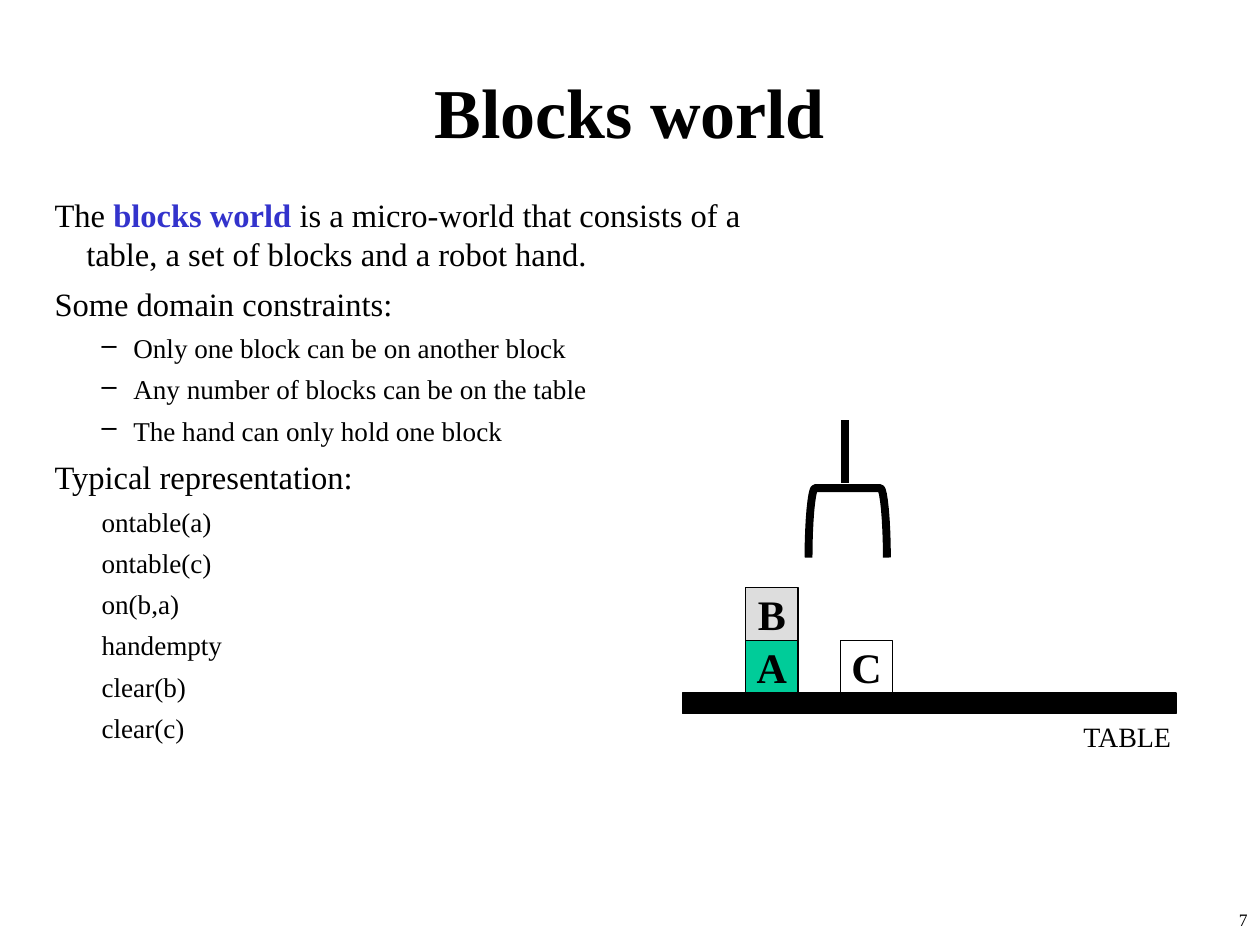
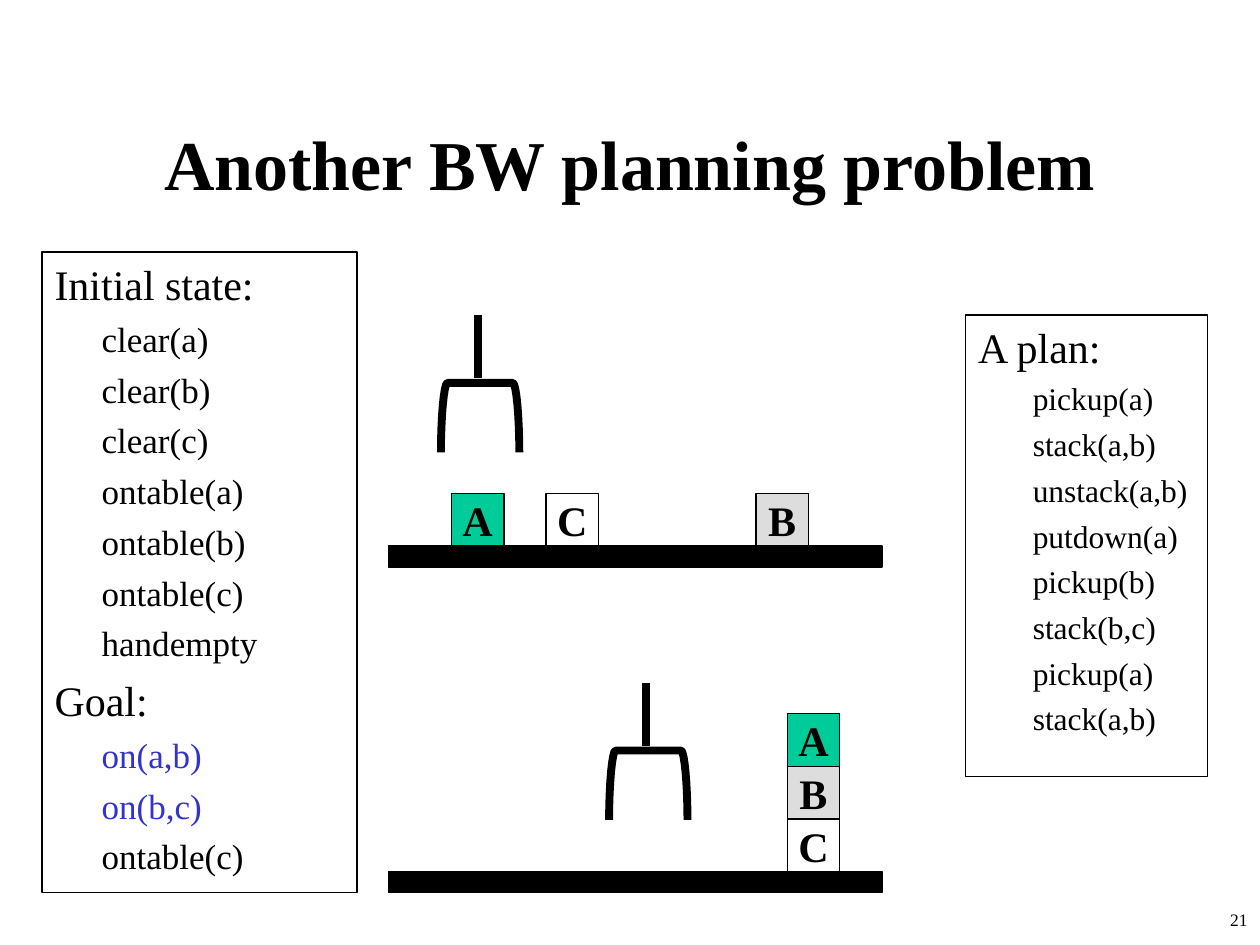
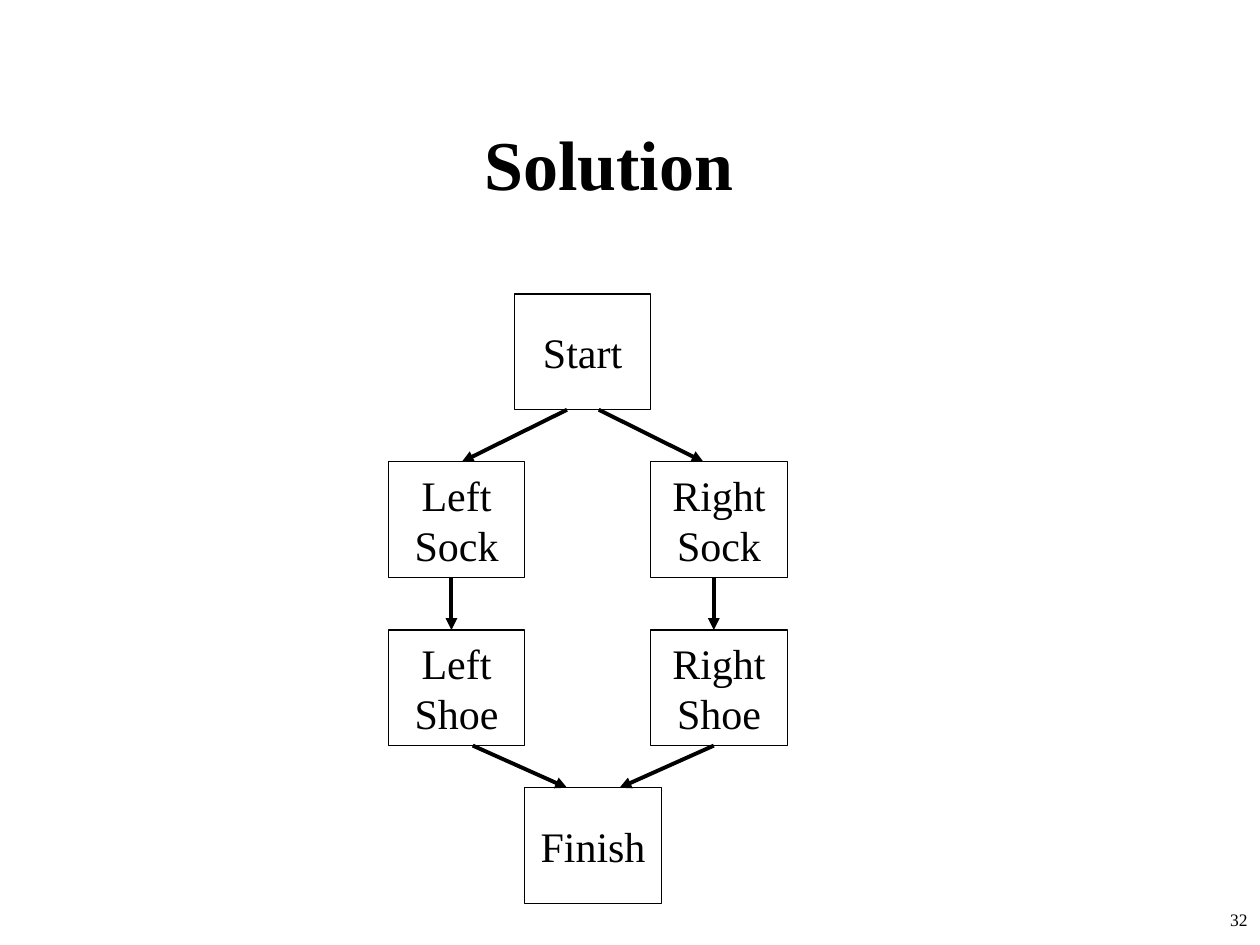
from lxml import etree
from pptx import Presentation
from pptx.dml.color import RGBColor
from pptx.enum.shapes import MSO_CONNECTOR, MSO_SHAPE
from pptx.enum.text import MSO_ANCHOR, PP_ALIGN
from pptx.oxml.ns import qn
from pptx.util import Cm, Pt

BLACK = RGBColor(0x00, 0x00, 0x00)
WHITE = RGBColor(0xFF, 0xFF, 0xFF)
BLUE = RGBColor(0x33, 0x33, 0xCC)
GREEN = RGBColor(0x00, 0xCC, 0x99)
GREY = RGBColor(0xDD, 0xDD, 0xDD)
FONT = "Times New Roman"

RECT = MSO_SHAPE.RECTANGLE
STRAIGHT = MSO_CONNECTOR.STRAIGHT
LEFT, CENTER, RIGHT = PP_ALIGN.LEFT, PP_ALIGN.CENTER, PP_ALIGN.RIGHT
TOP, MIDDLE = MSO_ANCHOR.TOP, MSO_ANCHOR.MIDDLE

BLOCK = 1.06
BLOCK_FILLS = {"A": GREEN, "B": GREY, "C": None}
TABLE_W, TABLE_H = 9.95, 0.42
NODE_W, NODE_H = 2.75, 2.33


def add_run(p, text, size, color=BLACK, bold=False):
    r = p.add_run()
    r.text = text
    r.font.name = FONT
    r.font.size = Pt(size)
    r.font.color.rgb = color
    r.font.bold = bold


def add_text(shapes, x, y, w, h, text, size, align=LEFT, bold=False,
             anchor=TOP, wrap=True):
    tf = shapes.add_textbox(Cm(x), Cm(y), Cm(w), Cm(h)).text_frame
    tf.word_wrap = wrap
    tf.vertical_anchor = anchor
    p = tf.paragraphs[0]
    p.alignment = align
    add_run(p, text, size, bold=bold)


def add_box(shapes, x, y, w, h, fill=None):
    sp = shapes.add_shape(RECT, Cm(x), Cm(y), Cm(w), Cm(h))
    sp.shadow.inherit = False
    if fill is None:
        sp.fill.background()
    else:
        sp.fill.solid()
        sp.fill.fore_color.rgb = fill
    sp.line.color.rgb = BLACK
    sp.line.width = Pt(0.75)
    return sp


def add_label(sp, text, bold=False):
    """Centre 24 pt text in a box, one line for each line of the text."""
    tf = sp.text_frame
    tf.word_wrap = False
    tf.vertical_anchor = MIDDLE
    p = tf.paragraphs[0]
    p.alignment = CENTER
    for i, line in enumerate(text.split("\n")):
        if i:
            p.add_line_break()
        add_run(p, line, 24, bold=bold)


def add_line(shapes, x1, y1, x2, y2, width, arrow=False):
    cxn = shapes.add_connector(STRAIGHT, Cm(x1), Cm(y1), Cm(x2), Cm(y2))
    cxn.line.color.rgb = BLACK
    cxn.line.width = Pt(width)
    if arrow:
        ln = cxn.line._get_or_add_ln()
        etree.SubElement(ln, qn("a:tailEnd"), type="triangle")
    etree.SubElement(cxn._element.spPr, qn("a:effectLst"))


def add_list(tf, items, head_size, item_size, item_gap=5,
             margin=1.59, hang=0.64):
    """Items are (kind, text or runs); kinds are head, item, dash and goal."""
    tf.word_wrap = True
    tf.vertical_anchor = TOP
    for i, (kind, text) in enumerate(items):
        p = tf.add_paragraph() if i else tf.paragraphs[0]
        p.alignment = LEFT
        head = kind == "head"
        p.space_before = Pt(6 if head else item_gap)
        pPr = p._p.get_or_add_pPr()
        pPr.set("marL", str(Cm(0.64 if head else margin)))
        pPr.set("indent", str(-Cm(0.64 if head else hang)))
        if kind == "dash":
            etree.SubElement(pPr, qn("a:buChar"), char="–")
        runs = [(text, kind == "goal", False)] if isinstance(text, str) else text
        for words, blue, bold in runs:
            add_run(p, words, head_size if head else item_size,
                    BLUE if blue else BLACK, bold)


def add_hand(shapes, x, y):
    """Robot hand hanging from the top of its arm at x, y."""
    add_line(shapes, x, y, x, y + 1.27, 4.5)
    width, height, shoulder = 1.58, 1.4, 0.13
    left, top = x - 0.74, y + 1.37
    finger = []
    for i in range(9):
        t = i / 8
        u = 1 - t
        finger.append((3 * u * t * t * 0.06 + t ** 3 * shoulder,
                       height * (u ** 3 + 1.5 * u * u * t)))
    outline = finger + [(width - dx, dy) for dx, dy in reversed(finger)]
    points = [(Cm(left + dx), Cm(top + dy)) for dx, dy in outline]
    builder = shapes.build_freeform(*points[0])
    builder.add_line_segments(points[1:], close=False)
    sp = builder.convert_to_shape()
    sp.shadow.inherit = False
    sp.fill.background()
    sp.line.color.rgb = BLACK
    sp.line.width = Pt(4.5)


def add_scene(s, x, y, blocks, hand, table_label=False):
    """Table top at x, y; blocks are (name, offset, level), hand an offset."""
    shapes = s.shapes.add_group_shape().shapes
    add_box(shapes, x, y, TABLE_W, TABLE_H, BLACK)
    for name, dx, level in blocks:
        sp = add_box(shapes, x + dx, y - (level + 1) * BLOCK, BLOCK, BLOCK,
                     BLOCK_FILLS[name])
        add_label(sp, name, bold=True)
    add_hand(shapes, x + hand[0], y + hand[1])
    if table_label:
        add_text(shapes, x + 7.83, y + TABLE_H, 2.31, 0.94, "TABLE", 16,
                 wrap=False)


def add_slide(prs, title, number, title_y=1.69, title_w=21.59):
    s = prs.slides.add_slide(prs.slide_layouts[6])
    add_text(s.shapes, 20.11, 18.2, 5.29, 0.85, number, 10, RIGHT)
    add_text(s.shapes, 1.9, title_y, title_w, 3.18, title, 40, CENTER,
             bold=True, anchor=MIDDLE)
    return s


def blocks_world(prs):
    s = add_slide(prs, "Blocks world", "7", title_y=0.64)
    items = [
        ("head", [("The ", False, False), ("blocks world ", True, True),
                  ("is a micro-world that consists of a table, a set of "
                   "blocks and a robot hand.", False, False)]),
        ("head", "Some domain constraints:"),
        ("dash", "Only one block can be on another block"),
        ("dash", "Any number of blocks can be on the table"),
        ("dash", "The hand can only hold one block"),
        ("head", "Typical representation:"),
    ]
    facts = ["ontable(a)", "ontable(c)", "on(b,a)", "handempty", "clear(b)",
             "clear(c)"]
    items += [("item", fact) for fact in facts]
    body = s.shapes.add_textbox(Cm(0.85), Cm(3.81), Cm(14.6), Cm(11.43))
    add_list(body.text_frame, items, 18.6, 15.5)
    add_scene(s, 13.76, 13.97,
              [("A", 1.27, 0), ("B", 1.27, 1), ("C", 3.18, 0)],
              hand=(3.28, -5.5), table_label=True)


def planning_problem(prs):
    s = add_slide(prs, "Another BW planning problem", "21")
    initial = ["clear(a)", "clear(b)", "clear(c)", "ontable(a)", "ontable(b)",
               "ontable(c)", "handempty"]
    states = [("head", "Initial state:")]
    states += [("item", fact) for fact in initial]
    states += [("head", "Goal:"), ("goal", "on(a,b)"), ("goal", "on(b,c)"),
               ("item", "ontable(c)")]
    box = add_box(s.shapes, 0.85, 5.08, 6.35, 12.91)
    add_list(box.text_frame, states, 24, 20)

    add_scene(s, 7.83, 11.01,
              [("A", 1.27, 0), ("B", 7.41, 0), ("C", 3.18, 0)],
              hand=(1.8, -4.66))
    add_scene(s, 7.83, 17.57,
              [("A", 8.04, 2), ("B", 8.04, 1), ("C", 8.04, 0)],
              hand=(5.19, -3.81))

    steps = ["pickup(a)", "stack(a,b)", "unstack(a,b)", "putdown(a)",
             "pickup(b)", "stack(b,c)", "pickup(a)", "stack(a,b)"]
    plan = [("head", "A plan:")] + [("item", step) for step in steps]
    box = add_box(s.shapes, 19.47, 6.35, 4.87, 9.31)
    add_list(box.text_frame, plan, 24, 18, item_gap=4.5, margin=1.1, hang=0)


def solution(prs):
    s = add_slide(prs, "Solution", "32", title_w=20.74)
    left, right = 7.83, 13.12
    nodes = [("Start", 10.37, 5.93), ("Left\nSock", left, 9.31),
             ("Right\nSock", right, 9.31), ("Right\nShoe", right, 12.7),
             ("Left\nShoe", left, 12.7), ("Finish", 10.58, 15.88)]
    for text, x, y in nodes:
        add_label(add_box(s.shapes, x, y, NODE_W, NODE_H, WHITE), text)
    arrows = [(11.43, 8.26, 9.31, 9.31), (12.07, 8.26, 14.18, 9.31),
              (9.1, 11.64, 9.1, 12.7), (14.39, 11.64, 14.39, 12.7),
              (9.53, 15.03, 11.43, 15.88), (14.39, 15.03, 12.49, 15.88)]
    for ends in arrows:
        add_line(s.shapes, *ends, 2.25, arrow=True)


def main():
    prs = Presentation()
    prs.slide_width, prs.slide_height = Cm(25.4), Cm(19.05)
    blocks_world(prs)
    planning_problem(prs)
    solution(prs)
    prs.save("out.pptx")


if __name__ == "__main__":
    main()
